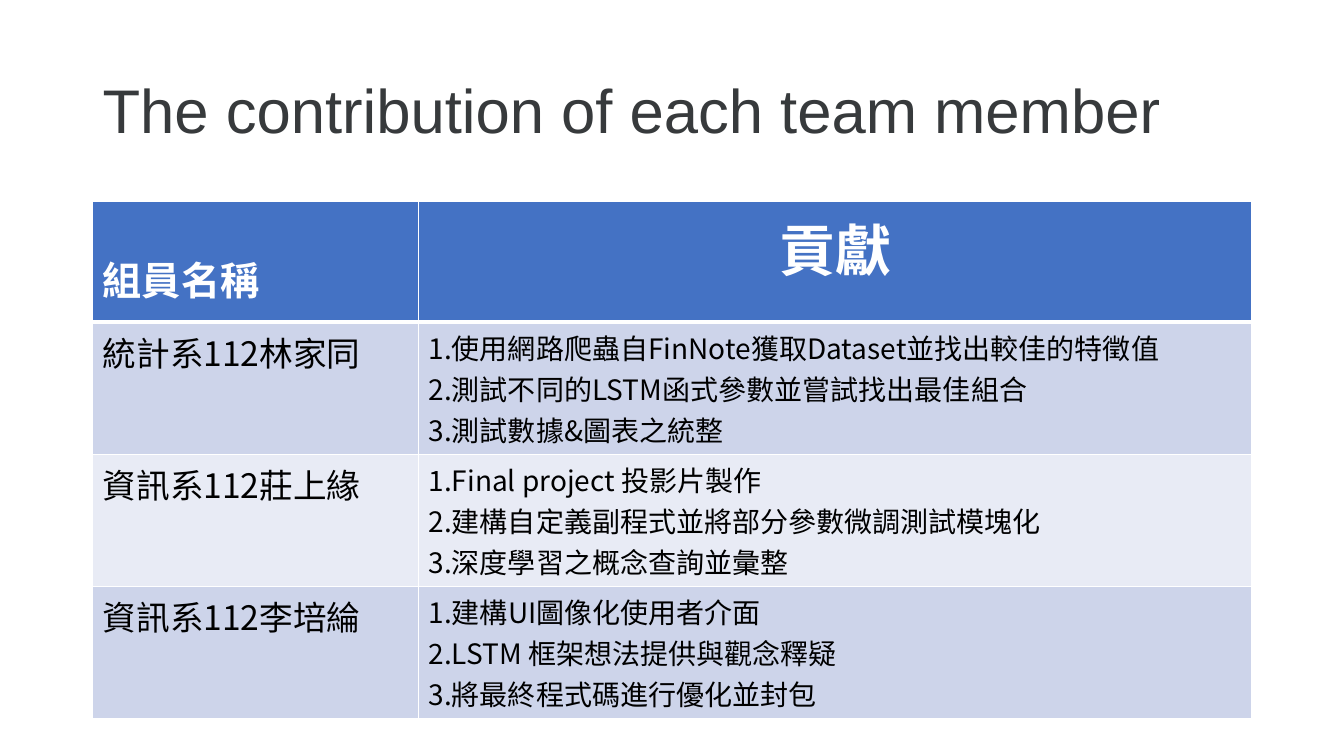
from dataclasses import dataclass

from lxml import etree
from pptx import Presentation
from pptx.dml.color import RGBColor
from pptx.enum.text import MSO_ANCHOR, PP_ALIGN
from pptx.oxml.ns import qn
from pptx.util import Inches, Pt

TOP, MIDDLE, BOTTOM = MSO_ANCHOR.TOP, MSO_ANCHOR.MIDDLE, MSO_ANCHOR.BOTTOM
LEFT, CENTER = PP_ALIGN.LEFT, PP_ALIGN.CENTER
BLANK_LAYOUT = 6


@dataclass(frozen=True)
class Theme:
    """Colours, fonts and type sizes of the slide."""
    title_ink: str = "373A3C"
    ink: str = "000000"
    white: str = "FFFFFF"
    header: str = "4472C4"
    bands: tuple = ("CDD4EA", "E8EBF5")
    title_font: str = "Arial"
    table_font: str = "Noto Sans CJK TC"
    title_size: int = 44
    contribution_heading_size: int = 40
    member_heading_size: int = 28
    member_size: int = 24
    task_size: int = 20
    rule: int = 1
    header_rule: int = 3


def write(frame, lines, *, font, size, color, bold=False, align=LEFT, spacing=1.0):
    """Fill a text frame with one formatted paragraph per line."""
    frame.word_wrap = True
    for index, line in enumerate(lines):
        paragraph = frame.paragraphs[0] if index == 0 else frame.add_paragraph()
        paragraph.alignment = align
        paragraph.line_spacing = spacing
        run = paragraph.add_run()
        run.text = line
        run.font.name = font
        run.font.size = Pt(size)
        run.font.bold = bold
        run.font.color.rgb = RGBColor.from_string(color)
        east_asian = etree.SubElement(run.font._element, qn("a:ea"))
        east_asian.set("typeface", font)


class TeamSlide:
    """Draws elements placed by shares of the slide's size."""

    def __init__(self, deck, theme):
        """Add a blank slide to the deck."""
        self.theme = theme
        self.width, self.height = deck.slide_width, deck.slide_height
        self.slide = deck.slides.add_slide(deck.slide_layouts[BLANK_LAYOUT])

    def box(self, left, top, width, height):
        """Turn shares of the slide into lengths."""
        return (round(left * self.width), round(top * self.height),
                round(width * self.width), round(height * self.height))

    def title(self, heading, place):
        """Add the slide's heading."""
        frame = self.slide.shapes.add_textbox(*self.box(*place)).text_frame
        frame.vertical_anchor = MIDDLE
        write(frame, [heading], font=self.theme.title_font, size=self.theme.title_size,
              color=self.theme.title_ink, spacing=0.9)

    def borders(self, cell, top, bottom):
        """Draw white rules on the four sides of a cell."""
        properties = cell._tc.get_or_add_tcPr()
        widths = {"L": self.theme.rule, "R": self.theme.rule, "T": top, "B": bottom}
        for index, (side, points) in enumerate(widths.items()):
            line = etree.Element(qn(f"a:ln{side}"), w=str(Pt(points)))
            fill = etree.SubElement(line, qn("a:solidFill"))
            etree.SubElement(fill, qn("a:srgbClr"), val=self.theme.white)
            properties.insert(index, line)

    def cell(self, cell, lines, fill, anchor, top, bottom, **text_format):
        """Style one table cell and write its lines."""
        cell.fill.solid()
        cell.fill.fore_color.rgb = RGBColor.from_string(fill)
        cell.vertical_anchor = anchor
        self.borders(cell, top, bottom)
        write(cell.text_frame, lines, font=self.theme.table_font, **text_format)

    def contributions(self, headings, members, place, member_share, header_share):
        """Add the table of members and their contributions."""
        theme = self.theme
        left, top, width, height = self.box(*place)
        table = self.slide.shapes.add_table(len(members) + 1, len(headings),
                                            left, top, width, height).table
        for column, share in zip(table.columns, (member_share, 1 - member_share)):
            column.width = round(share * width)
        row_shares = [header_share] + [(1 - header_share) / len(members)] * len(members)
        for row, share in zip(table.rows, row_shares):
            row.height = round(share * height)

        heading_formats = (
            dict(anchor=BOTTOM, size=theme.member_heading_size),
            dict(anchor=TOP, size=theme.contribution_heading_size, align=CENTER),
        )
        for column, (heading, style) in enumerate(zip(headings, heading_formats)):
            self.cell(table.cell(0, column), [heading], theme.header, top=theme.rule,
                      bottom=theme.header_rule, color=theme.white, bold=True, **style)
        table.cell(0, 0).margin_bottom = Inches(0.15)

        for row, (member, tasks) in enumerate(members, start=1):
            band = theme.bands[(row - 1) % len(theme.bands)]
            upper_rule = theme.header_rule if row == 1 else theme.rule
            columns = (([member], theme.member_size), (tasks, theme.task_size))
            for column, (lines, size) in enumerate(columns):
                self.cell(table.cell(row, column), lines, band, TOP, upper_rule,
                          theme.rule, size=size, color=theme.ink)


MEMBERS = (
    ("統計系112林家同", (
        "1.使用網路爬蟲自FinNote獲取Dataset並找出較佳的特徵值",
        "2.測試不同的LSTM函式參數並嘗試找出最佳組合",
        "3.測試數據&圖表之統整",
    )),
    ("資訊系112莊上緣", (
        "1.Final project 投影片製作",
        "2.建構自定義副程式並將部分參數微調測試模塊化",
        "3.深度學習之概念查詢並彙整",
    )),
    ("資訊系112李培綸", (
        "1.建構UI圖像化使用者介面",
        "2.LSTM 框架想法提供與觀念釋疑",
        "3.將最終程式碼進行優化並封包",
    )),
)


def main():
    """Build and save the slide."""
    deck = Presentation()
    deck.slide_width, deck.slide_height = Inches(13.33), Inches(7.5)
    team = TeamSlide(deck, Theme())
    margin, content = 0.069, 0.8625
    team.title("The contribution of each team member", (margin, 0.053, content, 0.193))
    team.contributions(("組員名稱", "貢獻"), MEMBERS, (margin, 0.267, content, 0.683),
                       member_share=0.281, header_share=0.233)
    deck.save("out.pptx")


if __name__ == "__main__":
    main()
